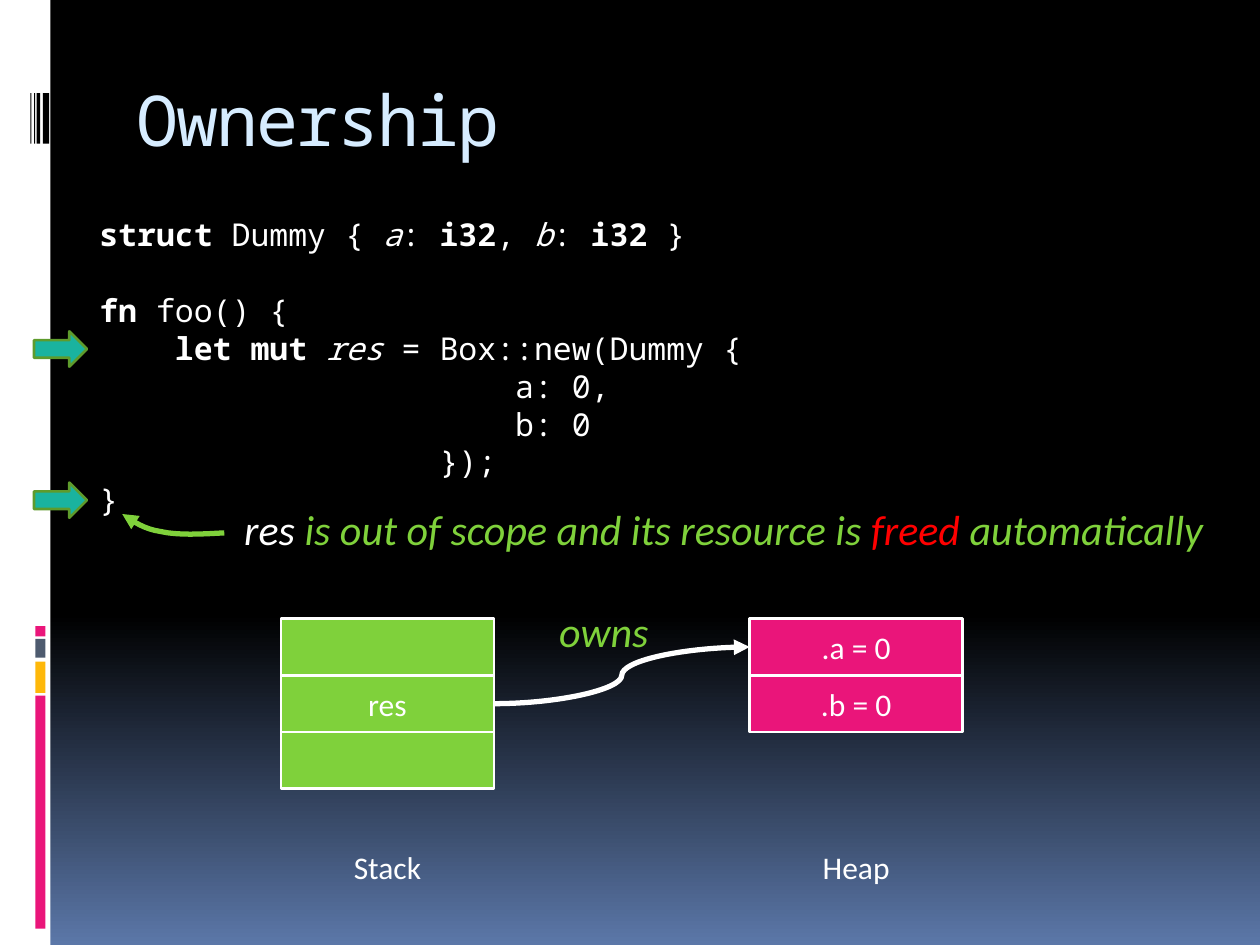
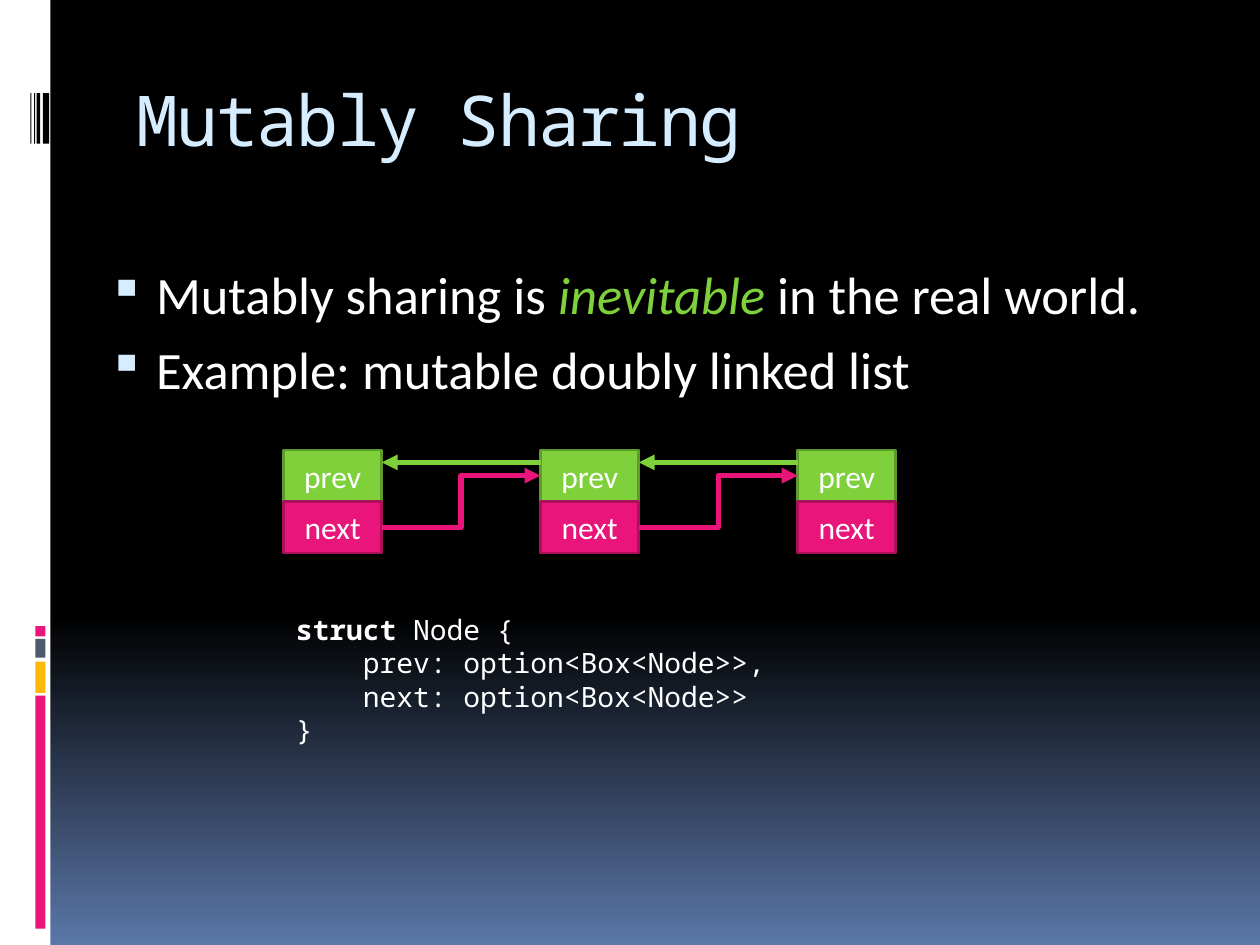
"""Build two slides on ownership and mutable sharing."""
from lxml import etree
from pptx import Presentation
from pptx.dml.color import RGBColor
from pptx.enum.shapes import MSO_CONNECTOR, MSO_SHAPE
from pptx.enum.text import MSO_ANCHOR, PP_ALIGN
from pptx.oxml.ns import qn
from pptx.util import Inches, Pt

RECTANGLE, RIGHT_ARROW = MSO_SHAPE.RECTANGLE, MSO_SHAPE.RIGHT_ARROW
STRAIGHT, ELBOW, CURVE = MSO_CONNECTOR.STRAIGHT, MSO_CONNECTOR.ELBOW, MSO_CONNECTOR.CURVE
LEFT, CENTER = PP_ALIGN.LEFT, PP_ALIGN.CENTER
TOP, MIDDLE = MSO_ANCHOR.TOP, MSO_ANCHOR.MIDDLE
color = RGBColor.from_string

WHITE, BLACK, BLUE, PALE = "FFFFFF", "000000", "5B77A8", "D6ECFF"
GREEN, DARK_GREEN, TEAL = "7FD13B", "5E9B2C", "1AB39F"
PINK, DARK_PINK, YELLOW, SLATE, RED = "EA157A", "AD105A", "FEB80A", "4E5B6F", "FF0000"
SANS, MONO = "Calibri", "Noto Sans Mono"

BANDS = [
    (0, 0, 0.4, 7.5, WHITE),
    (0.28, 5.52, 0.08, 1.85, PINK),
    (0.28, 5.25, 0.08, 0.25, YELLOW),
    (0.28, 5.07, 0.08, 0.15, SLATE),
    (0.28, 4.97, 0.08, 0.08, PINK),
    (0.34, 0.74, 0.05, 0.4, BLACK),
    (0.29, 0.74, 0.03, 0.4, BLACK),
    (0.27, 0.74, 0.01, 0.4, BLACK),
    (0.24, 0.74, 0.01, 0.4, BLACK),
]


def write(shape, lines, font, size, ink=WHITE, align=LEFT, anchor=TOP):
    """Fill a shape with lines of (text, style, colour) runs."""
    frame = shape.text_frame
    frame.word_wrap = True
    frame.vertical_anchor = anchor
    for number, runs in enumerate(lines):
        para = frame.add_paragraph() if number else frame.paragraphs[0]
        para.alignment = align
        for text, style, *own_ink in runs:
            span = para.add_run()
            span.text = text
            span.font.name = font
            span.font.size = Pt(size)
            span.font.bold = style == "b"
            span.font.italic = style == "i"
            span.font.color.rgb = color(own_ink[0] if own_ink else ink)
    return frame


def add_block(page, kind, place, fill, line=None, label=""):
    """Add a filled shape with an optional outline and label."""
    block = page.shapes.add_shape(kind, *map(Inches, place))
    block.shadow.inherit = False
    block.fill.solid()
    block.fill.fore_color.rgb = color(fill)
    if line:
        block.line.color.rgb = color(line)
        block.line.width = Pt(1.5)
    else:
        block.line.fill.background()
    if label:
        write(block, [[(label, "")]], SANS, 18, align=CENTER, anchor=MIDDLE)
    return block


deck = Presentation()
deck.slide_width, deck.slide_height = Inches(10), Inches(7.5)
pages = []
for title in ("Ownership", "Mutably Sharing"):
    page = deck.slides.add_slide(deck.slide_layouts[6])
    backdrop = page.background.fill
    backdrop.gradient()
    backdrop.gradient_angle = 270
    for stop, position, shade in zip(backdrop.gradient_stops, (0.65, 1), (BLACK, BLUE)):
        stop.position = position
        stop.color.rgb = color(shade)
    for *place, fill in BANDS:
        add_block(page, RECTANGLE, place, fill)
    box = page.shapes.add_textbox(Inches(1), Inches(0.56), Inches(8.5), Inches(1))
    frame = write(box, [[(title, "")]], MONO, 40, PALE)
    frame.margin_left = Inches(0.08)
    for span in frame.paragraphs[0].runs:
        span.font._element.set("spc", "-100")
    pages.append(page)
ownership, sharing = pages
arrows = []

ownership_code = [
    [("struct ", "b"), ("Dummy { ", ""), ("a", "i"), (": ", ""), ("i32", "b"),
     (", ", ""), ("b", "i"), (": ", ""), ("i32", "b"), (" }", "")],
    [("fn ", "b"), ("foo() {", "")],
    [("    ", ""), ("let mut ", "b"), ("res", "i"), (" = Box::new(Dummy {", "")],
    [("                      a: 0,", "")],
    [("                      b: 0", "")],
    [("                  });", "")],
    [("}", "")],
]
box = ownership.shapes.add_textbox(Inches(0.69), Inches(1.66), Inches(8.24), Inches(2.52))
frame = write(box, ownership_code, MONO, 18)
frame.paragraphs[1].space_before = Pt(21.8)

for top in (2.63, 3.83):
    add_block(ownership, RIGHT_ARROW, (0.27, top, 0.42, 0.28), TEAL, DARK_GREEN)

memory = []
for name, left, fill, cells in (
    ("Stack", 2.23, GREEN, ("", "res", "")),
    ("Heap", 5.95, PINK, (".a = 0", ".b = 0")),
):
    memory.append([
        add_block(ownership, RECTANGLE, (left, 4.91 + 0.45 * row, 1.69, 0.45), fill, WHITE, cell)
        for row, cell in enumerate(cells)
    ])
    box = ownership.shapes.add_textbox(Inches(left), Inches(6.68), Inches(1.69), Inches(0.4))
    write(box, [[(name, "")]], SANS, 18, align=CENTER)
stack, heap = memory
owns = ownership.shapes.add_connector(
    CURVE, Inches(3.92), Inches(5.58), Inches(5.95), Inches(5.13))
owns.begin_connect(stack[1], 3)
owns.end_connect(heap[0], 1)
arrows.append((owns, WHITE))

for left, top, width, runs in (
    (4.34, 4.76, 1.1, [("owns", "i", GREEN)]),
    (1.84, 3.95, 8.1, [("res", "i"), (" is out of scope and its resource is ", "i", GREEN),
                       ("freed", "i", RED), (" automatically", "i", GREEN)]),
):
    box = ownership.shapes.add_textbox(Inches(left), Inches(top), Inches(width), Inches(0.5))
    write(box, [runs], SANS, 24)

scope_curve = [
    ((1.78, 4.23), (1.6, 4.24), (1.41, 4.25), (1.28, 4.22)),
    ((1.28, 4.22), (1.14, 4.2), (1.06, 4.14), (0.97, 4.08)),
]
points = []
for bend in scope_curve:
    for step in range(1, 9):
        t = step / 8
        weights = ((1 - t) ** 3, 3 * t * (1 - t) ** 2, 3 * t * t * (1 - t), t ** 3)
        points.append([Inches(sum(w * p[axis] for w, p in zip(weights, bend)))
                       for axis in (0, 1)])
builder = ownership.shapes.build_freeform(Inches(1.78), Inches(4.23))
builder.add_line_segments(points, close=False)
scope_arrow = builder.convert_to_shape()
scope_arrow.fill.background()
arrows.append((scope_arrow, GREEN))

box = sharing.shapes.add_textbox(Inches(0.69), Inches(2), Inches(8.62), Inches(1.4))
frame = write(box, [
    [("Mutably sharing is ", ""), ("inevitable ", "i", GREEN), ("in the real world.", "")],
    [("Example: mutable doubly linked list", "")],
], SANS, 30)
frame.margin_top = Inches(0.08)
frame.paragraphs[1].space_before = Pt(7)
for para in frame.paragraphs:
    properties = para._element.get_or_add_pPr()
    properties.set("marL", str(Inches(0.45)))
    properties.set("indent", str(Inches(-0.38)))
    bullet_color = etree.SubElement(properties, qn("a:buClr"))
    etree.SubElement(bullet_color, qn("a:srgbClr"), val=PALE)
    etree.SubElement(properties, qn("a:buSzPct"), val="95000")
    etree.SubElement(properties, qn("a:buChar"), char="▪")

nodes = []
for index in range(3):
    left = 2.25 + 2.04 * index
    nodes.append((
        add_block(sharing, RECTANGLE, (left, 3.57, 0.78, 0.41), GREEN, DARK_GREEN, "prev"),
        add_block(sharing, RECTANGLE, (left, 3.98, 0.78, 0.41), PINK, DARK_PINK, "next"),
    ))
for (near_prev, near_next), (far_prev, far_next) in zip(nodes, nodes[1:]):
    start, end = near_prev.left + near_prev.width, far_prev.left
    next_link = sharing.shapes.add_connector(ELBOW, start, Inches(4.19), end, Inches(3.78))
    next_link.begin_connect(near_next, 3)
    next_link.end_connect(far_prev, 1)
    prev_link = sharing.shapes.add_connector(STRAIGHT, end, Inches(3.67), start, Inches(3.67))
    arrows += [(next_link, PINK), (prev_link, GREEN)]

node_code = [
    [("struct", "b"), (" Node {", "")],
    [("    prev: option<Box<Node>>,", "")],
    [("    next: option<Box<Node>>", "")],
    [("}", "")],
]
box = sharing.shapes.add_textbox(Inches(2.25), Inches(4.81), Inches(4.38), Inches(1.18))
write(box, node_code, MONO, 16)

for arrow, ink in arrows:
    arrow.line.color.rgb = color(ink)
    arrow.line.width = Pt(3)
    outline = arrow._element.spPr
    etree.SubElement(outline.find(qn("a:ln")), qn("a:tailEnd"), type="triangle")
    etree.SubElement(outline, qn("a:effectLst"))

deck.save("out.pptx")
